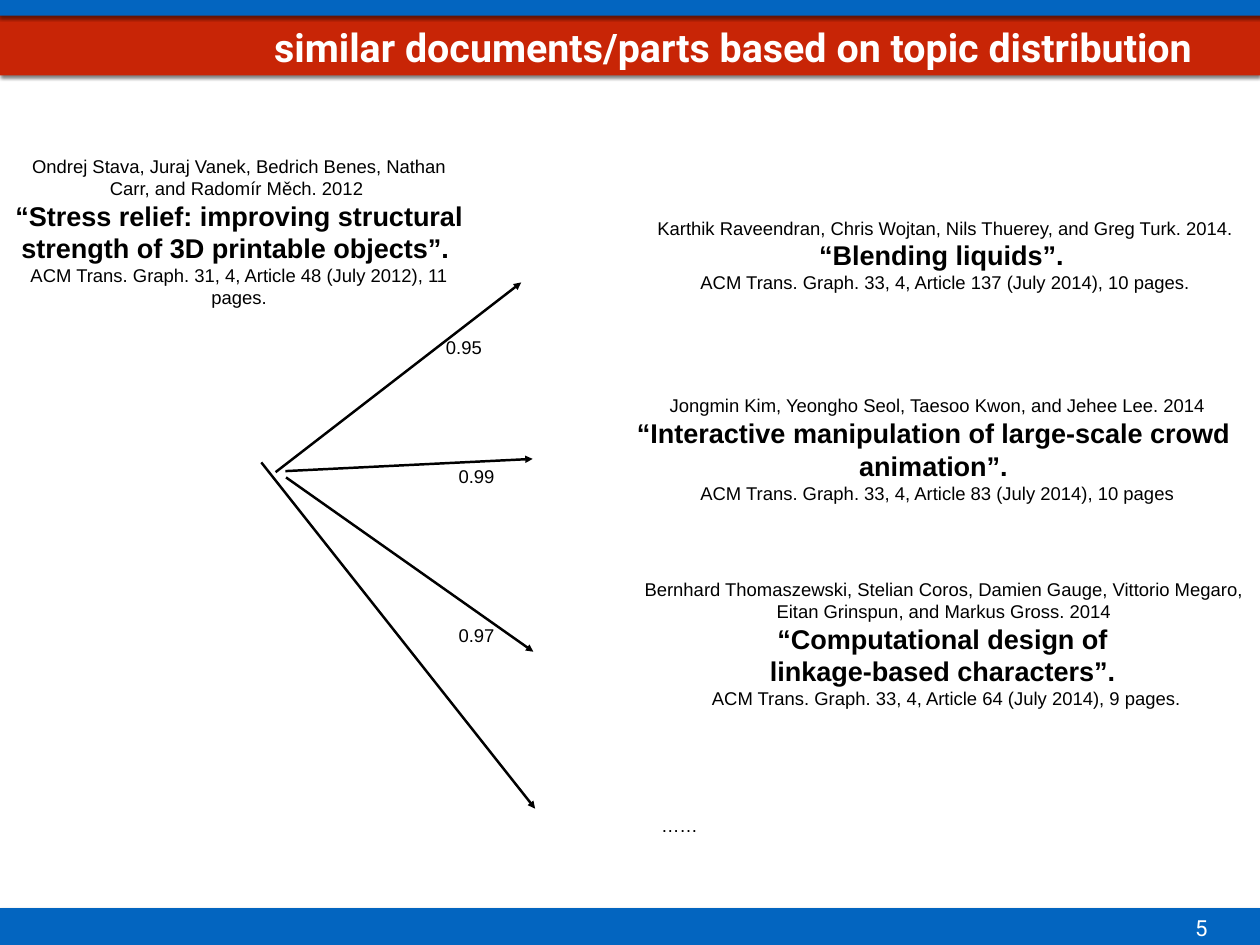
from dataclasses import dataclass

from lxml import etree
from pptx import Presentation
from pptx import util as u
from pptx.dml.color import RGBColor
from pptx.enum import shapes, text
from pptx.oxml import parse_xml
from pptx.oxml.ns import nsdecls, qn


@dataclass(frozen=True)
class Theme:
    red: RGBColor = RGBColor(0xC8, 0x25, 0x06)
    blue: RGBColor = RGBColor(0x03, 0x65, 0xC0)
    white: RGBColor = RGBColor(0xFF, 0xFF, 0xFF)
    black: RGBColor = RGBColor(0, 0, 0)
    heading_font: str = "Roboto"
    body_font: str = "Arial"
    title: int = 32
    number: int = 18
    paper: int = 22
    body: int = 15


theme = Theme()


def set_frame(box, lines, wrap=False, anchor=text.MSO_ANCHOR.MIDDLE,
              align=text.PP_ALIGN.CENTER, font=theme.body_font, color=theme.black):
    """Fill a box with (wording, size, bold) lines, one paragraph each."""
    frame = box.text_frame
    frame.text = "\n".join(wording for wording, size, bold in lines)
    frame.word_wrap = wrap
    frame.auto_size = text.MSO_AUTO_SIZE.NONE
    frame.vertical_anchor = anchor
    frame.margin_left = frame.margin_right = u.Cm(0.15)
    frame.margin_top = frame.margin_bottom = u.Cm(0.15)
    for para, (wording, size, bold) in zip(frame.paragraphs, lines):
        para.alignment = align
        for span in para.runs:
            span.font.name = font
            span.font.size = u.Pt(size)
            span.font.bold = bold
            span.font.color.rgb = color


deck = Presentation()
deck.slide_width, deck.slide_height = u.Cm(36.12), u.Cm(27.1)
page = deck.slides.add_slide(deck.slide_layouts[5])

# Header and footer bars
bars = [
    (0, -0.08, 36.12, 2.24, theme.red),
    (-0.03, -0.08, 36.2, 0.53, theme.blue),
    (0, 26.04, 36.12, 1.09, theme.blue),
]
for *place, color in bars:
    bar = page.shapes.add_shape(shapes.MSO_SHAPE.RECTANGLE, *map(u.Cm, place))
    bar.fill.solid()
    bar.fill.fore_color.rgb = color
    bar.line.fill.background()
    bar.element.spPr.append(parse_xml(
        f'<a:effectLst {nsdecls("a")}>'
        '<a:outerShdw blurRad="38100" dist="25400" dir="5400000" rotWithShape="0">'
        '<a:srgbClr val="000000"><a:alpha val="50000"/></a:srgbClr>'
        '</a:outerShdw></a:effectLst>'))

# Title, brought in front of the bars
title = page.shapes.title
title.left, title.top, title.width, title.height = map(u.Cm, (5.61, 0.53, 28.75, 1.63))
set_frame(title, [("similar documents/parts based on topic distribution", theme.title, True)],
          wrap=True, align=text.PP_ALIGN.RIGHT, font=theme.heading_font, color=theme.white)
page.shapes.element.append(title.element)

page_number = page.shapes.add_textbox(*map(u.Cm, (34.11, 26.06, 0.66, 1.07)))
set_frame(page_number, [("5", theme.number, False)], anchor=text.MSO_ANCHOR.TOP,
          font=theme.heading_font, color=theme.white)

# Papers: place, wrapping, authors, paper title, journal
papers = [
    ((18.47, 6.12, 17.25, 2.39), False,
     [" Karthik Raveendran, Chris Wojtan, Nils Thuerey, and Greg Turk. 2014. "],
     ["“Blending liquids”. "],
     "ACM Trans. Graph. 33, 4, Article 137 (July 2014), 10 pages."),
    ((17.98, 11.23, 17.78, 3.3), False,
     ["Jongmin Kim, Yeongho Seol, Taesoo Kwon, and Jehee Lee. 2014"],
     ["“Interactive manipulation of large-scale crowd ", "animation”. "],
     "ACM Trans. Graph. 33, 4, Article 83 (July 2014), 10 pages"),
    ((18.24, 16.51, 17.78, 3.89), False,
     ["Bernhard Thomaszewski, Stelian Coros, Damien Gauge, Vittorio Megaro, ",
      "Eitan Grinspun, and Markus Gross. 2014 "],
     ["“Computational design of ", "linkage-based characters”. "],
     "ACM Trans. Graph. 33, 4, Article 64 (July 2014), 9 pages."),
    ((0.25, 4.39, 13.21, 4.5), True,
     ["Ondrej Stava, Juraj Vanek, Bedrich Benes, Nathan Carr, and Radomír Měch. 2012 "],
     ["“Stress relief: improving structural strength of 3D printable objects”. "],
     "ACM Trans. Graph. 31, 4, Article 48 (July 2012), 11 pages."),
]
for place, wrap, authors, paper_title, journal in papers:
    citation = page.shapes.add_textbox(*map(u.Cm, place))
    lines = [(line, theme.body, False) for line in authors]
    lines += [(line, theme.paper, True) for line in paper_title]
    lines.append((journal, theme.body, False))
    set_frame(citation, lines, wrap=wrap)

# Arrows from the source paper to the similar ones
arrows = [
    (7.9, 13.54, 14.94, 8.1),
    (8.18, 13.51, 15.27, 13.16),
    (8.2, 13.69, 15.29, 18.69),
    (7.49, 13.26, 15.34, 23.19),
]
for ends in arrows:
    arrow = page.shapes.add_connector(shapes.MSO_CONNECTOR.STRAIGHT, *map(u.Cm, ends))
    arrow.line.color.rgb = theme.black
    arrow.line.width = u.Pt(2)
    outline = arrow.element.spPr.find(qn("a:ln"))
    etree.SubElement(outline, qn("a:tailEnd"), type="triangle")
    etree.SubElement(arrow.element.spPr, qn("a:effectLst"))

# Similarity scores and the ellipsis for further papers
labels = [
    ("……", 18.8, 23.22),
    ("0.95", 12.62, 9.53),
    ("0.99", 12.98, 13.23),
    ("0.97", 12.98, 17.78),
]
for wording, left, top in labels:
    label = page.shapes.add_textbox(*map(u.Cm, (left, top, 1.36, 0.86)))
    set_frame(label, [(wording, theme.body, False)])

deck.save("out.pptx")
